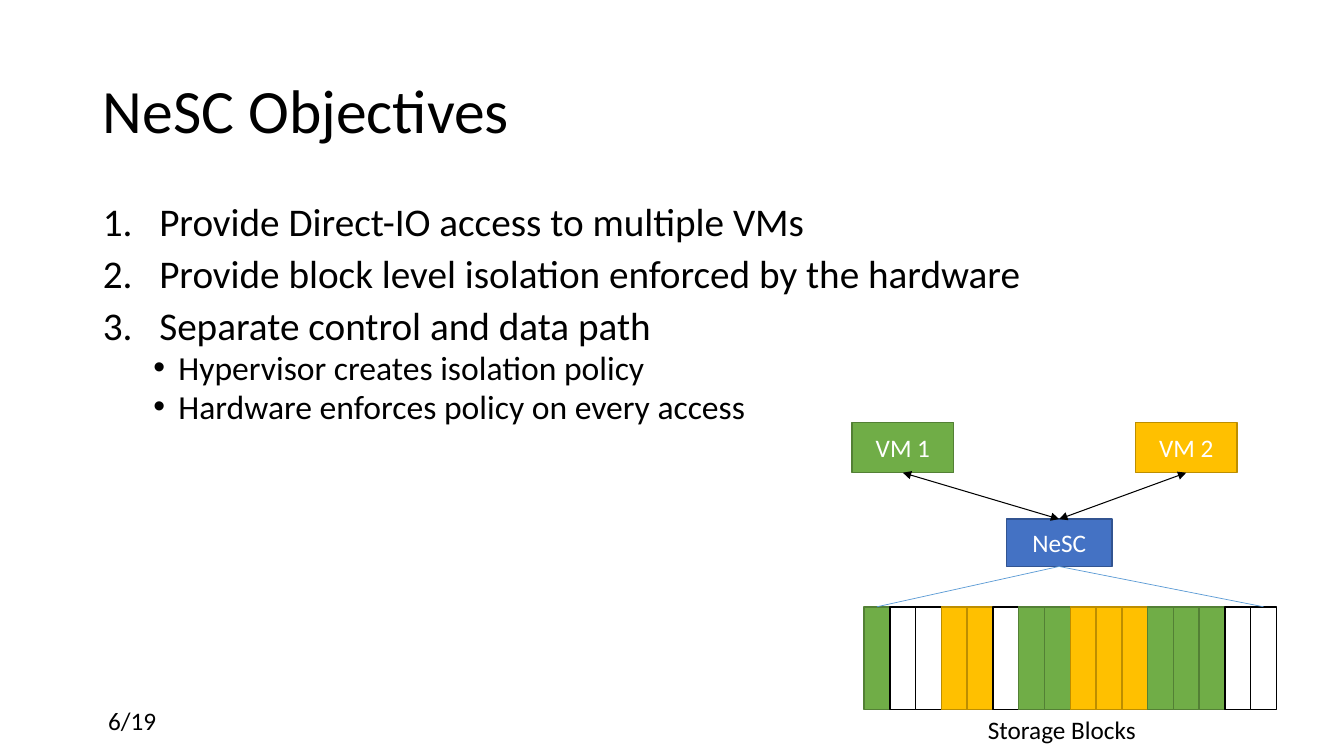
from lxml.etree import SubElement
from pptx import Presentation
from pptx.dml.color import RGBColor
from pptx.enum.shapes import MSO_CONNECTOR, MSO_SHAPE
from pptx.enum.text import MSO_ANCHOR, MSO_AUTO_SIZE, PP_ALIGN
from pptx.oxml.ns import qn
from pptx.util import Inches, Pt

FONT = "Calibri"
COLORS = {
    "text": "000000", "white": "FFFFFF", "link": "5B9BD5",
    "vm1": "70AD47", "vm1_edge": "538035",
    "vm2": "FFC000", "vm2_edge": "BD8E00",
    "nesc": "4472C4", "nesc_edge": "325491",
    "free": "FFFFFF", "free_edge": "000000",
}
OBJECTIVES = [
    (0, "Provide Direct-IO access to multiple VMs"),
    (0, "Provide block level isolation enforced by the hardware"),
    (0, "Separate control and data path"),
    (1, "Hypervisor creates isolation policy"),
    (1, "Hardware enforces policy on every access"),
]
# Per list level: size, space before, indent, hanging, bullet tag and its attributes
LEVELS = [
    (28, 10, 0.56, 0.56, "a:buAutoNum", {"type": "arabicPeriod"}),
    (24, 5, 0.75, 0.25, "a:buChar", {"char": "•"}),
]
# Owner of each storage block, from left to right
BLOCK_OWNERS = (["vm1"] + ["free"] * 2 + ["vm2"] * 2 + ["free"] + ["vm1"] * 2
                + ["vm2"] * 3 + ["vm1"] * 3 + ["free"] * 2)


def rgb(name):
    return RGBColor.from_string(COLORS[name])


def add_run(paragraph, text, size, color="text"):
    run = paragraph.add_run()
    run.text = text
    run.font.name, run.font.size = FONT, Pt(size)
    run.font.color.rgb = rgb(color)


def place(holder, box):
    holder.left, holder.top, holder.width, holder.height = map(Inches, box)


def add_title(title, box):
    place(title, box)
    frame = title.text_frame
    frame.auto_size = MSO_AUTO_SIZE.NONE
    frame.vertical_anchor = MSO_ANCHOR.MIDDLE
    paragraph = frame.paragraphs[0]
    paragraph.alignment, paragraph.line_spacing = PP_ALIGN.LEFT, 0.9
    add_run(paragraph, "NeSC Objectives", 44)


def add_objectives(body, box):
    place(body, box)
    frame = body.text_frame
    frame.auto_size = MSO_AUTO_SIZE.NONE
    frame.vertical_anchor = MSO_ANCHOR.TOP
    for index, (level, text) in enumerate(OBJECTIVES):
        size, before, indent, hanging, bullet, attributes = LEVELS[level]
        paragraph = frame.add_paragraph() if index else frame.paragraphs[0]
        paragraph.level = level
        paragraph.line_spacing, paragraph.space_before = 0.8, Pt(before)
        properties = paragraph._p.get_or_add_pPr()
        properties.set("marL", str(Inches(indent)))
        properties.set("indent", str(-Inches(hanging)))
        SubElement(properties, qn("a:buFont"), typeface="Arial" if level else "+mj-lt")
        SubElement(properties, qn(bullet), attributes)
        add_run(paragraph, text, size)


def add_caption(slide, text, box, align):
    caption = slide.shapes.add_textbox(*map(Inches, box))
    frame = caption.text_frame
    frame.word_wrap = True
    frame.paragraphs[0].alignment = align
    add_run(frame.paragraphs[0], text, 18)


def add_box(slide, owner, box, label=None):
    rect = slide.shapes.add_shape(MSO_SHAPE.RECTANGLE, *map(Inches, box))
    rect.shadow.inherit = False
    rect.fill.solid()
    rect.fill.fore_color.rgb = rgb(owner)
    rect.line.color.rgb = rgb(owner + "_edge")
    rect.line.width = Pt(1)
    if label:
        frame = rect.text_frame
        frame.vertical_anchor = MSO_ANCHOR.MIDDLE
        frame.paragraphs[0].alignment = PP_ALIGN.CENTER
        add_run(frame.paragraphs[0], label, 18, "white")
    return rect


def connect(slide, upper, lower, color, width, arrows=False):
    """Join the bottom of the upper box to the top of the lower one."""
    link = slide.shapes.add_connector(MSO_CONNECTOR.STRAIGHT, 0, 0, 0, 0)
    link.begin_connect(upper, 2)
    link.end_connect(lower, 0)
    link.line.color.rgb = rgb(color)
    link.line.width = Pt(width)
    if arrows:
        for end in ("a:headEnd", "a:tailEnd"):
            SubElement(link.line._get_or_add_ln(), qn(end), type="triangle")
    SubElement(link._element.spPr, qn("a:effectLst"))


def add_diagram(slide, box):
    left, top, width, height = box
    # Row of storage blocks along the bottom
    block_left, block_height = left + 0.12, 1.02
    block_top = top + height - block_height
    pitch = (left + width - block_left) / len(BLOCK_OWNERS)
    blocks = [add_box(slide, owner, (block_left + i * pitch, block_top, pitch, block_height))
              for i, owner in enumerate(BLOCK_OWNERS)]
    add_caption(slide, "Storage Blocks", (left + 1.25, top + height, 2.15, 0.41), PP_ALIGN.LEFT)
    # Controller and the two machines above it
    nesc = add_box(slide, "nesc", (left + 1.53, top + 0.96, 1.05, 0.47), "NeSC")
    machines = [add_box(slide, f"vm{n}", (left + (n - 1) * 2.81, top, 1.01, 0.5), f"VM {n}")
                for n in (1, 2)]
    for machine in machines:
        connect(slide, machine, nesc, "text", 0.75, arrows=True)
    for block in (blocks[0], blocks[-1]):
        connect(slide, nesc, block, "link", 0.5)


def main():
    deck = Presentation()
    deck.slide_width, deck.slide_height = Inches(13.33), Inches(7.5)
    slide = deck.slides.add_slide(deck.slide_layouts[1])
    add_title(slide.shapes.title, (0.92, 0.4, 11.5, 1.45))
    add_objectives(slide.placeholders[1], (0.92, 2, 11.5, 2.48))
    add_diagram(slide, (8.45, 4.19, 4.21, 2.85))
    add_caption(slide, "6/19", (0.85, 6.95, 0.92, 0.4), PP_ALIGN.CENTER)
    deck.save("out.pptx")


if __name__ == "__main__":
    main()
